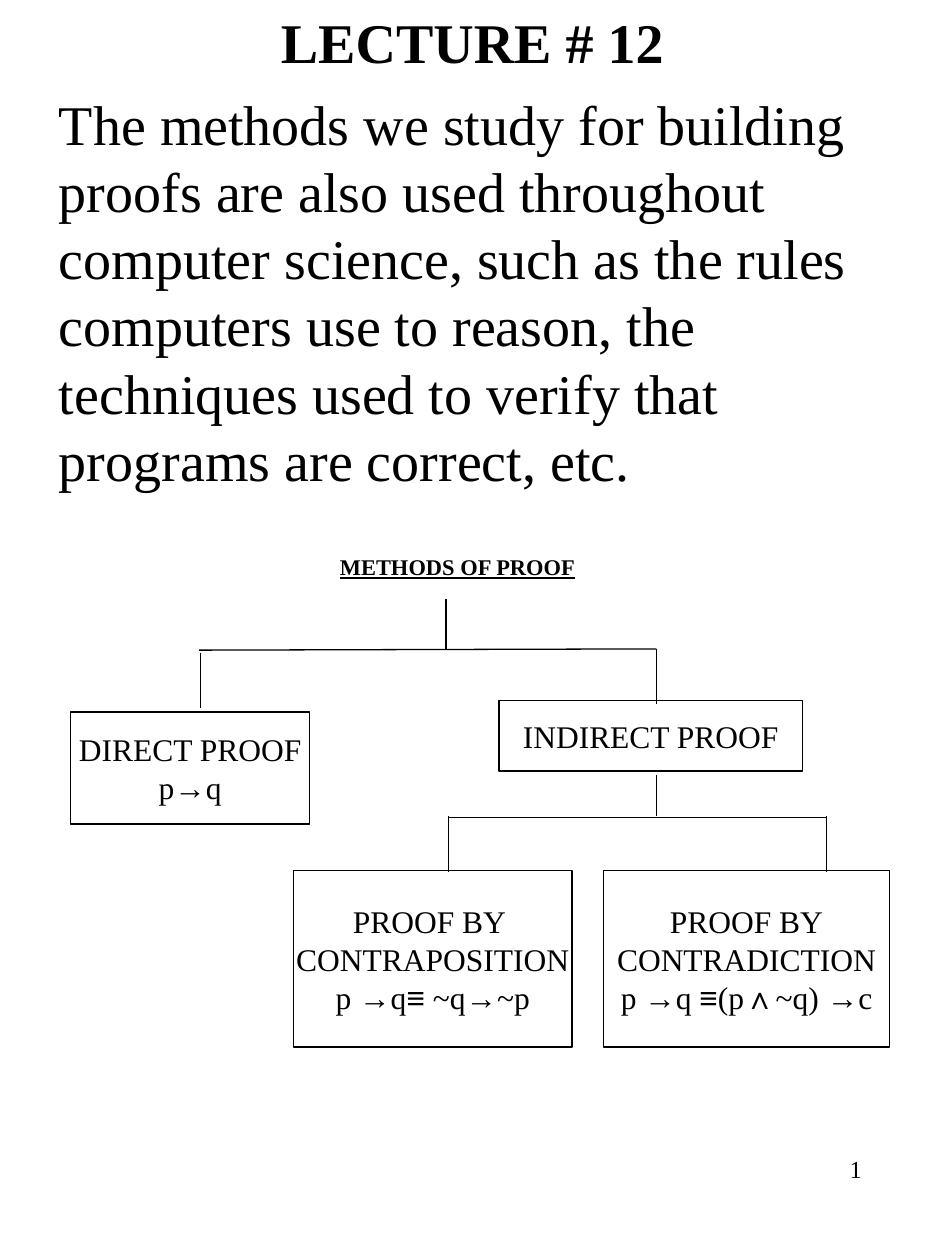
from itertools import groupby

from lxml.etree import SubElement
from pptx import Presentation
from pptx.dml.color import RGBColor as Rgb
from pptx.enum.shapes import MSO_CONNECTOR as Conn, MSO_SHAPE as Shape
from pptx.enum.text import MSO_ANCHOR as Anchor, PP_ALIGN as Align
from pptx.oxml.ns import qn
from pptx.util import Inches, Pt

COLORS = {"ink": "000000"}
FONT, SIGN_FONT = "Times New Roman", "Arial"
SIGNS = "→≡∧"

BOXES = [
    ((3.96, 5.56, 2.41, 0.56), ["INDIRECT PROOF"]),
    ((0.56, 5.65, 1.9, 0.89), ["DIRECT PROOF", "p→q"]),
    ((2.33, 6.91, 2.21, 1.4), ["PROOF BY ", "CONTRAPOSITION", "p →q≡ ~q→~p"]),
    ((4.79, 6.91, 2.27, 1.4), ["PROOF BY", "CONTRADICTION", "p →q ≡(p∧~q) →c"]),
]
LINES = [
    (3.54, 4.75, 3.54, 5.16),
    (1.58, 5.16, 5.21, 5.15),
    (1.59, 5.18, 1.59, 5.62),
    (5.21, 5.15, 5.21, 5.59),
    (5.21, 6.15, 5.21, 6.48),
    (3.56, 6.49, 6.56, 6.49),
    (3.56, 6.48, 3.56, 6.92),
    (6.56, 6.48, 6.56, 6.92),
]
INTRO = (
    "The methods we study for building proofs are also used throughout "
    "computer science, such as the rules computers use to reason, the "
    "techniques used to verify that programs are correct, etc."
)


def ink():
    return Rgb.from_string(COLORS["ink"])


def is_sign(char):
    return char in SIGNS


def write(shape, rows, size=18, align=Align.CENTER, anchor=Anchor.MIDDLE,
          bold=False, under=False, wrap=True, indent=0, before=0):
    """Fill a shape with one paragraph per row; logic signs get their own font."""
    frame = shape.text_frame
    frame.word_wrap = wrap
    frame.vertical_anchor = anchor
    for i, row in enumerate(rows):
        para = frame.add_paragraph() if i else frame.paragraphs[0]
        para.alignment = align
        para.space_before = Pt(before)
        if indent:
            props = para._p.get_or_add_pPr()
            props.set("marL", str(Inches(indent)))
            props.set("indent", "0")
        for sign, chars in groupby(row, is_sign):
            run = para.add_run()
            run.text = "".join(chars)
            font = run.font
            font.name = SIGN_FONT if sign else FONT
            font.size = Pt(size)
            font.bold = bold
            font.underline = under
            font.color.rgb = ink()


def label(slide, place, text, **style):
    box = slide.shapes.add_textbox(*map(Inches, place))
    write(box, [text], **style)


def node(slide, place, rows):
    box = slide.shapes.add_shape(Shape.RECTANGLE, *map(Inches, place))
    box.shadow.inherit = False
    box.fill.background()
    box.line.color.rgb = ink()
    box.line.width = Pt(0.75)
    write(box, rows, wrap=False)


def link(slide, ends):
    line = slide.shapes.add_connector(Conn.STRAIGHT, *map(Inches, ends))
    line.line.color.rgb = ink()
    line.line.width = Pt(0.75)
    SubElement(line._element.spPr, qn("a:effectLst"))


def main():
    deck = Presentation()
    deck.slide_width, deck.slide_height = Inches(7.5), Inches(10)
    slide = deck.slides.add_slide(deck.slide_layouts[6])

    label(slide, (5.38, 9.11, 1.56, 0.67), "1", size=14,
          align=Align.RIGHT, anchor=Anchor.TOP)
    label(slide, (0, 0.08, 7.5, 0.5), "LECTURE # 12", size=32, bold=True)
    label(slide, (-0.13, 0.66, 7.5, 3.3), INTRO, size=32, align=Align.LEFT,
          anchor=Anchor.TOP, indent=0.5, before=20)
    label(slide, (0.44, 4.33, 6.38, 0.33), "METHODS OF PROOF", size=12.8,
          bold=True, under=True)
    for ends in LINES:
        link(slide, ends)
    for place, rows in BOXES:
        node(slide, place, rows)
    deck.save("out.pptx")


if __name__ == "__main__":
    main()
